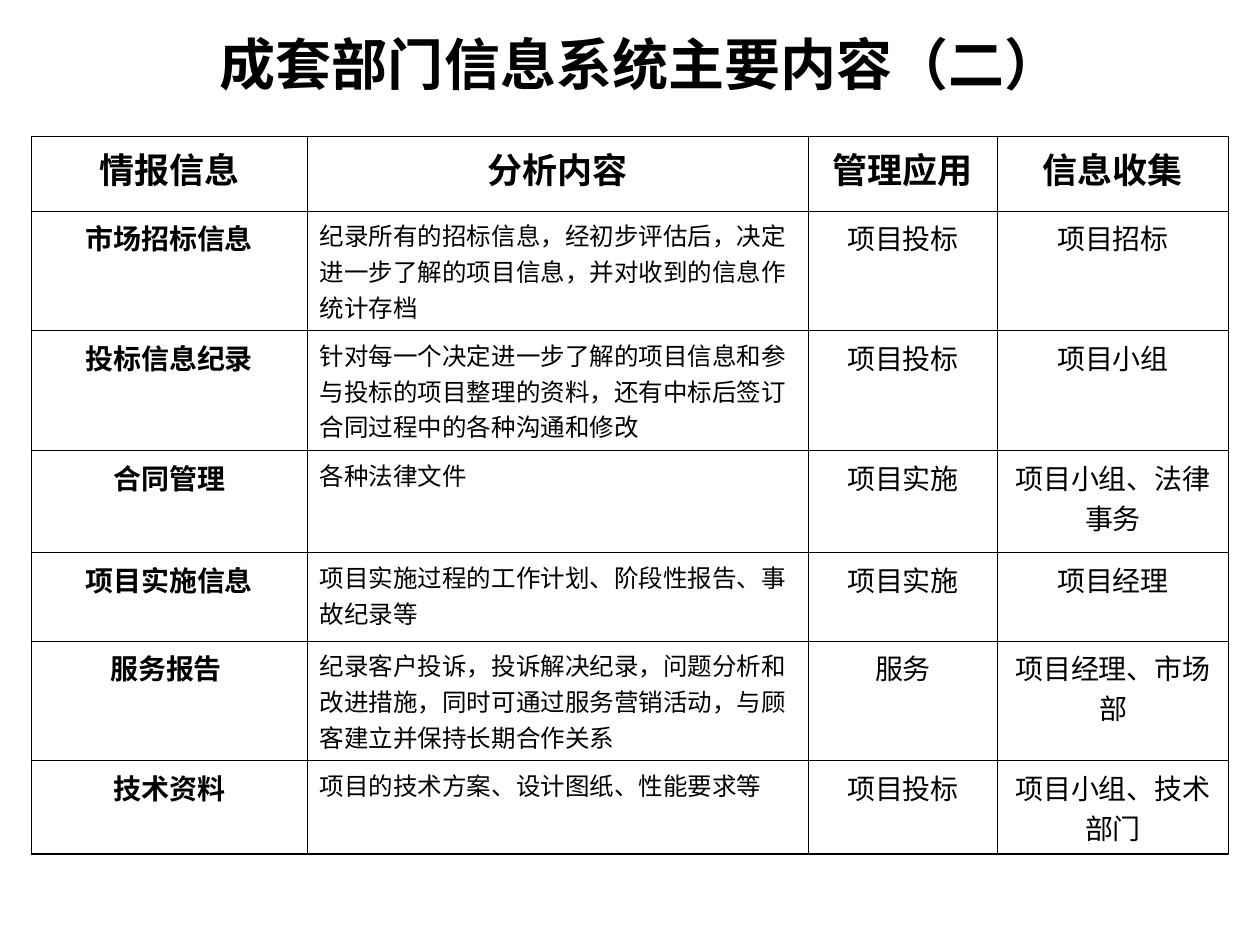
from dataclasses import dataclass

from lxml import etree
from pptx import Presentation
from pptx.dml.color import RGBColor
from pptx.enum.text import MSO_ANCHOR, PP_ALIGN
from pptx.oxml.ns import qn
from pptx.util import Pt

CENTER, LEFT = PP_ALIGN.CENTER, PP_ALIGN.LEFT
MIDDLE, TOP = MSO_ANCHOR.MIDDLE, MSO_ANCHOR.TOP


@dataclass(frozen=True)
class Theme:
    font: str = "Times New Roman"
    ink: str = "000000"
    title: float = 32
    header: float = 20
    label: float = 16
    body: float = 14
    outer_line: float = 1.08
    inner_line: float = 0.45


class Deck:
    def __init__(self, prs, theme):
        self.theme = theme
        self.slide = prs.slides.add_slide(prs.slide_layouts[6])

    def add_text(self, tf, text, size, bold, align):
        tf.word_wrap = True
        p = tf.paragraphs[0]
        p.alignment = align
        r = p.add_run()
        r.text = text
        r.font.name = self.theme.font
        r.font.size = Pt(size)
        r.font.bold = bold
        r.font.color.rgb = RGBColor.from_string(self.theme.ink)

    def add_title(self, text, left, top, width, height):
        tf = self.slide.shapes.add_textbox(Pt(left), Pt(top), Pt(width), Pt(height)).text_frame
        tf.vertical_anchor = MIDDLE
        self.add_text(tf, text, self.theme.title, True, CENTER)

    def add_borders(self, cell, outer_sides):
        tc_pr = cell._tc.get_or_add_tcPr()
        for i, (side, outer) in enumerate(outer_sides.items()):
            width = self.theme.outer_line if outer else self.theme.inner_line
            ln = etree.Element(qn(f"a:ln{side}"), w=str(Pt(width)))
            fill = etree.SubElement(ln, qn("a:solidFill"))
            etree.SubElement(fill, qn("a:srgbClr"), val=self.theme.ink)
            tc_pr.insert(i, ln)

    def add_table(self, rows, left, top, widths, heights):
        t = self.theme
        table = self.slide.shapes.add_table(
            len(rows), len(widths), Pt(left), Pt(top), Pt(sum(widths)), Pt(sum(heights))
        ).table
        table.horz_banding = False
        for col, width in zip(table.columns, widths):
            col.width = Pt(width)
        for row, height in zip(table.rows, heights):
            row.height = Pt(height)
        last_row, last_col = len(rows) - 1, len(widths) - 1
        for i, texts in enumerate(rows):
            for j, text in enumerate(texts):
                cell = table.cell(i, j)
                cell.fill.background()
                cell.vertical_anchor = TOP
                cell.margin_left = cell.margin_right = Pt(7.2)
                cell.margin_top = cell.margin_bottom = Pt(3.6)
                description = i > 0 and j == 1
                size = t.header if i == 0 else t.body if description else t.label
                self.add_text(cell.text_frame, text, size, i == 0 or j == 0,
                              LEFT if description else CENTER)
                self.add_borders(cell, {"L": j == 0, "R": j == last_col,
                                        "T": i == 0, "B": i == last_row})


ROWS = [
    ("情报信息", "分析内容", "管理应用", "信息收集"),
    ("市场招标信息",
     "纪录所有的招标信息，经初步评估后，决定进一步了解的项目信息，并对收到的信息作统计存档",
     "项目投标", "项目招标"),
    ("投标信息纪录",
     "针对每一个决定进一步了解的项目信息和参与投标的项目整理的资料，还有中标后签订合同过程中的各种沟通和修改",
     "项目投标", "项目小组"),
    ("合同管理", "各种法律文件", "项目实施", "项目小组、法律事务"),
    ("项目实施信息", "项目实施过程的工作计划、阶段性报告、事故纪录等", "项目实施", "项目经理"),
    ("服务报告 ",
     "纪录客户投诉，投诉解决纪录，问题分析和改进措施，同时可通过服务营销活动，与顾客建立并保持长期合作关系",
     "服务", "项目经理、市场部"),
    ("技术资料", "项目的技术方案、设计图纸、性能要求等", "项目投标", "项目小组、技术部门"),
]


def main():
    prs = Presentation()
    prs.slide_width, prs.slide_height = Pt(720), Pt(540)
    s = Deck(prs, Theme())
    s.add_table(ROWS, 18, 78, [157.5, 286.5, 108, 132], [42.5, 57.6, 62, 58.5, 50.4, 57.6, 46])
    s.add_title("成套部门信息系统主要内容（二）", 96, 18, 540, 36)
    prs.save("out.pptx")


if __name__ == "__main__":
    main()
